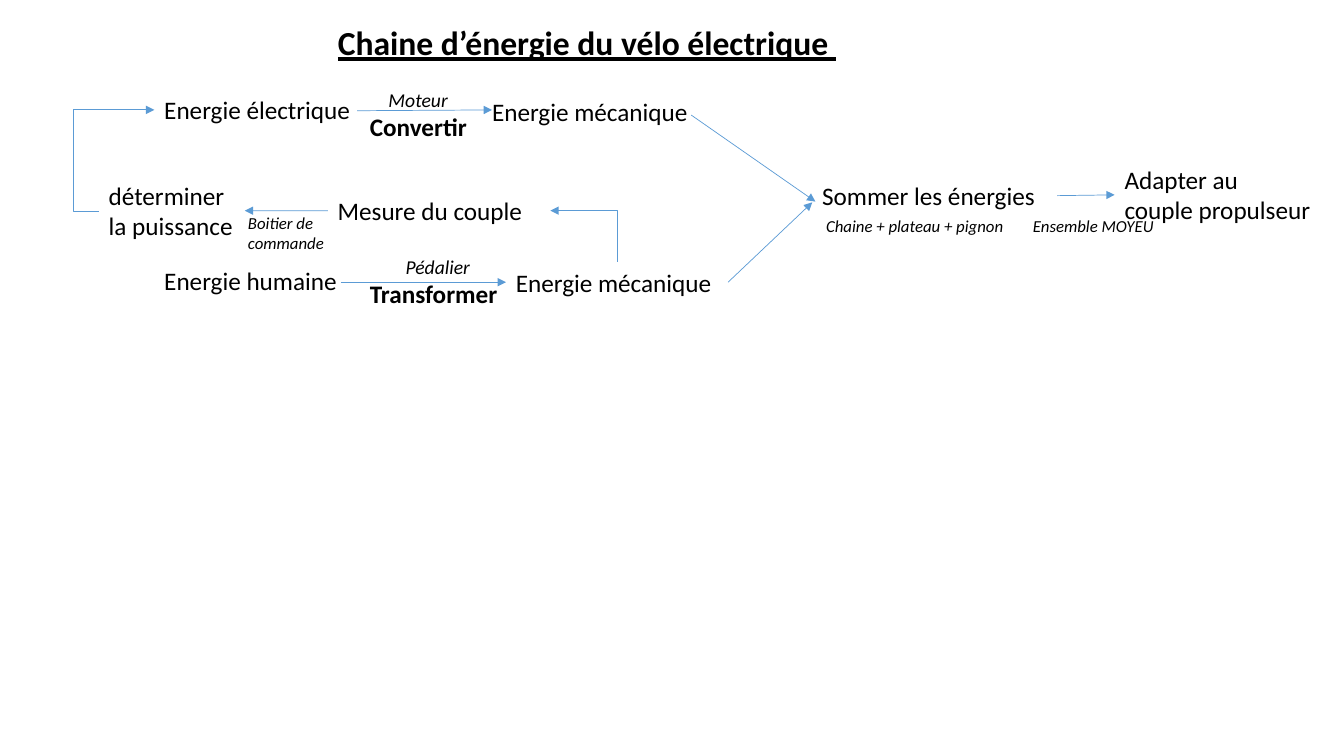
import pptx
import pptx.util
import pptx.dml.color
import pptx.enum.shapes
import pptx.enum.text
import pptx.oxml
import pptx.oxml.ns
from pptx.util import Cm

FONT = "Calibri"
BLACK, BLUE = "000000", "5B9BD5"
LINE_H = 1.02  # height of a one-line label, in cm
TOP, LEFT, RIGHT = 0, 1, 3  # connection sites
ALIGN = pptx.enum.text.PP_ALIGN
CONNECTOR = pptx.enum.shapes.MSO_CONNECTOR


def color(value):
    return pptx.dml.color.RGBColor.from_string(value)


def add_run(p, text, size, bold=False, italic=False, underline=False):
    r = p.add_run()
    r.text = text
    f = r.font
    f.name, f.size = FONT, pptx.util.Pt(size)
    f.bold, f.italic, f.underline = bold, italic, underline
    f.color.rgb = color(BLACK)


def add_label(s, origin, x, y, w, h, text="", size=18, italic=False, wrap=True):
    sp = s.shapes.add_textbox(Cm(origin[0] + x), Cm(origin[1] + y), Cm(w), Cm(h))
    tf = sp.text_frame
    tf.word_wrap = wrap
    if text:
        add_run(tf.paragraphs[0], text, size, italic=italic)
    return sp


def add_arrow(s, start, end, elbow=None):
    """Each end is an (x, y) point in cm or a (shape, site) pair."""
    kind = CONNECTOR.STRAIGHT if elbow is None else CONNECTOR.ELBOW
    points = [(0, 0) if hasattr(e[0], "shape_id") else e for e in (start, end)]
    c = s.shapes.add_connector(kind, *[Cm(v) for point in points for v in point])
    if hasattr(start[0], "shape_id"):
        c.begin_connect(*start)
    if hasattr(end[0], "shape_id"):
        c.end_connect(*end)
    c.line.color.rgb = color(BLUE)
    c.line.width = pptx.util.Pt(0.5)

    # Arrowhead, no shadow, and the position of the bend
    sub, qn = pptx.oxml.ns, pptx.oxml.ns.qn
    ns = sub.nsdecls("a")
    sp_pr = c._element.spPr
    sp_pr.find(qn("a:ln")).append(pptx.oxml.parse_xml(f'<a:tailEnd {ns} type="triangle"/>'))
    sp_pr.append(pptx.oxml.parse_xml(f"<a:effectLst {ns}/>"))
    if elbow is not None:
        geom = sp_pr.find(qn("a:prstGeom"))
        for old in list(geom):
            geom.remove(old)
        geom.append(pptx.oxml.parse_xml(
            f'<a:avLst {ns}><a:gd name="adj1" fmla="val {elbow}"/></a:avLst>'))


def title(s, x, y, w, h):
    sp = s.shapes.title
    sp.left, sp.top, sp.width, sp.height = Cm(x), Cm(y), Cm(w), Cm(h)
    tf = sp.text_frame
    tf.word_wrap = True
    tf.auto_size = pptx.enum.text.MSO_AUTO_SIZE.NONE
    tf.vertical_anchor = pptx.enum.text.MSO_ANCHOR.TOP
    p = tf.paragraphs[0]
    p.alignment = ALIGN.LEFT
    add_run(p, "Chaine d’énergie du vélo électrique ", 24, bold=True, underline=True)


def energy_row(s, x, y, source, device, action, text_y, source_w, action_w, result_x):
    """Source energy, converting device, mechanical energy."""
    origin = (x, y)
    src = add_label(s, origin, 0, text_y, source_w, LINE_H, source)
    result = add_label(s, origin, result_x, text_y + 0.05, 5.6, LINE_H, "Energie mécanique")
    tf = add_label(s, origin, 5.18, 0, action_w, 1.63, wrap=False).text_frame
    p = tf.paragraphs[0]
    p.alignment = ALIGN.CENTER
    add_run(p, device + " ", 14, italic=True)
    add_run(tf.add_paragraph(), action, 18, bold=True)
    return src, result


def control_loop(s, x, y, electric, pedalling):
    """Torque measured on the pedals sets the electric power."""
    origin = (x, y)
    torque = add_label(s, origin, 5.77, 0.38, 5.61, LINE_H, "Mesure du couple")
    power = add_label(s, origin, 0, 0, 3.96, 1.8, "déterminer la puissance")
    add_label(s, origin, 3.51, 0.81, 2.95, 1.27, "Boitier de commande", 12, True)
    add_arrow(s, (pedalling, TOP), (torque, RIGHT), elbow=0)
    add_arrow(s, (torque, LEFT), (x + 3.68, y + 0.89))
    add_arrow(s, (power, LEFT), (electric, LEFT), elbow=-45800)


def output(s, x, y, pedalling):
    """Both energies added, then adapted to the drive."""
    origin = (x, y)
    total = add_label(s, origin, 0, 0.41, 6.17, LINE_H, "Sommer les énergies")
    add_label(s, origin, 0.1, 1.3, 5.11, 0.76, "Chaine + plateau + pignon", 12, True, wrap=False)
    adapter = add_label(s, origin, 7.62, 0, 5.23, 1.8, "Adapter au couple propulseur")
    add_label(s, origin, 5.31, 1.3, 4.01, 0.76, "Ensemble MOYEU", 12, True)
    add_arrow(s, (x - 3.05, y - 1.11), (x + 0.08, y + 1.07))
    add_arrow(s, (pedalling, RIGHT), (x, y + 1.09))
    add_arrow(s, (total, RIGHT), (adapter, LEFT))


def main():
    prs = pptx.Presentation()
    prs.slide_width, prs.slide_height = Cm(33.87), Cm(19.05)
    s = prs.slides.add_slide(prs.slide_layouts[5])

    title(s, 8.26, 0.43, 15.57, 1.27)

    # Electric and human energy
    electric, _ = energy_row(s, 3.89, 2.08, "Energie électrique", "Moteur", "Convertir",
                             0.18, 5.54, 3.05, 8.26)
    add_arrow(s, (9, 2.79), (12.4, 2.77))
    _, pedalling = energy_row(s, 3.89, 6.3, "Energie humaine", "Pédalier", "Transformer",
                              0.25, 6.22, 4.04, 8.86)
    add_arrow(s, (8.59, 7.11), (pedalling, LEFT))

    control_loop(s, 2.49, 4.42, electric, pedalling)
    output(s, 20.47, 4.01, pedalling)
    prs.save("out.pptx")


if __name__ == "__main__":
    main()
